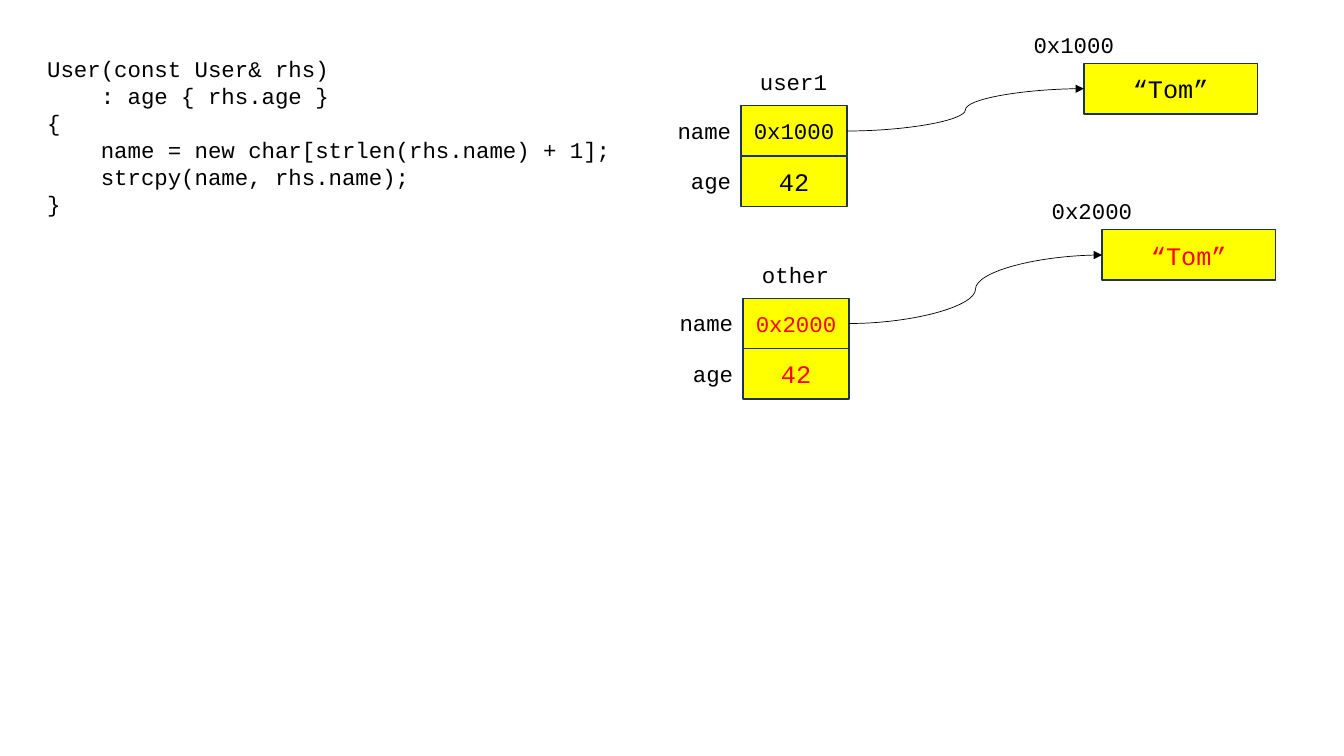
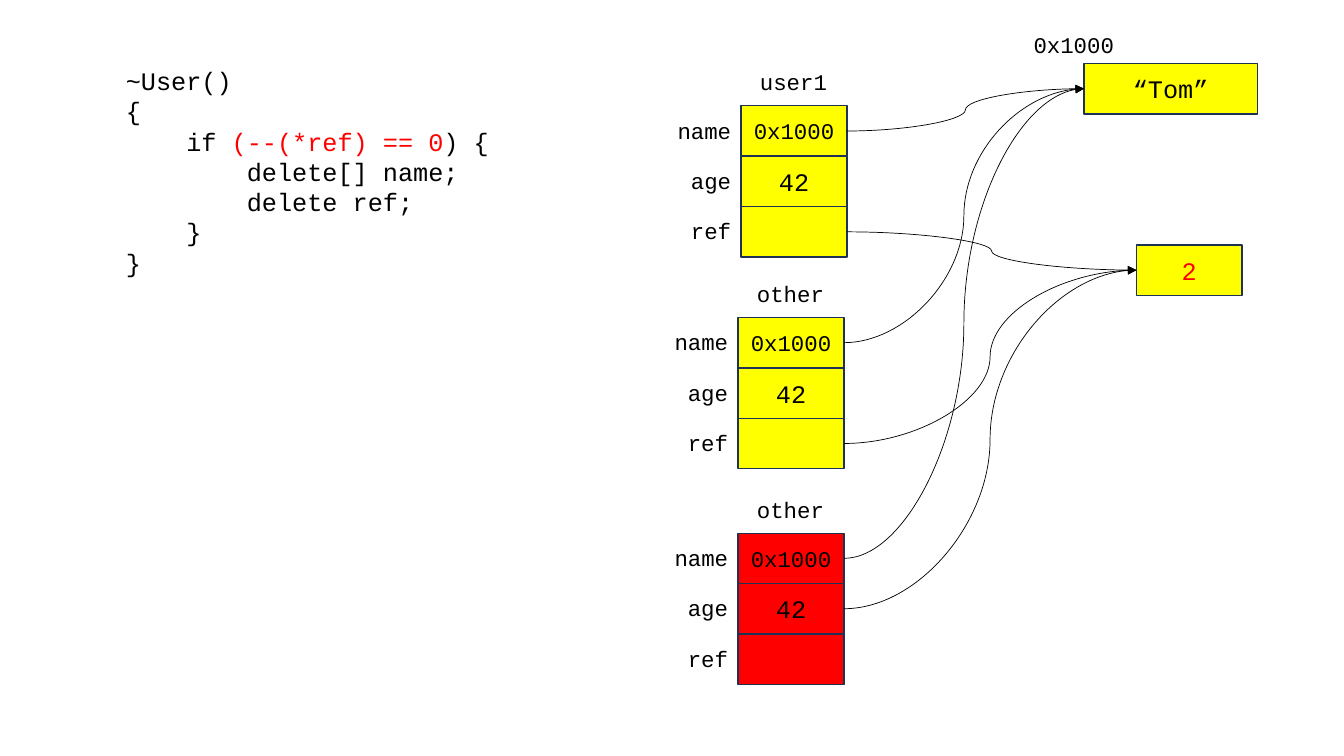
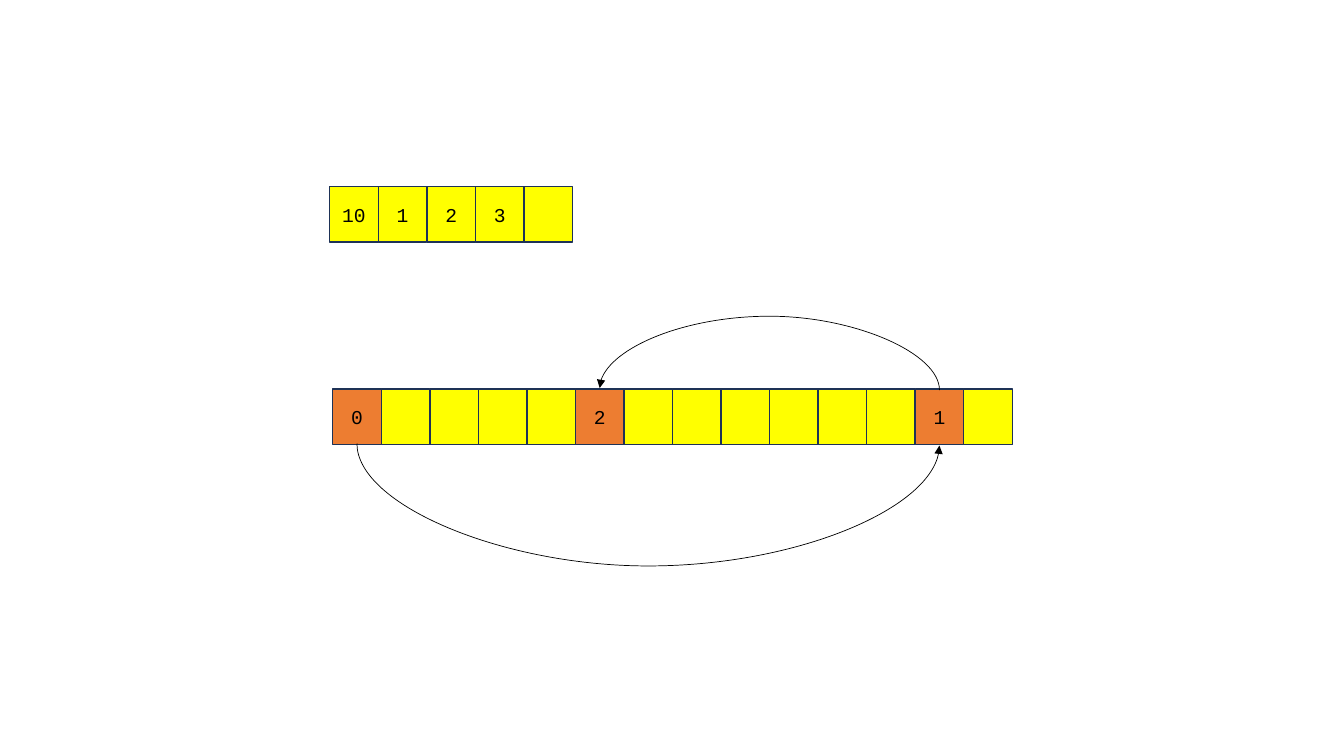
from pptx import Presentation
from pptx.dml.color import RGBColor as RGB
from pptx.enum.shapes import MSO_CONNECTOR as Conn, MSO_SHAPE as Kind
from pptx.enum.text import MSO_ANCHOR as Anchor, MSO_AUTO_SIZE as Fit, PP_ALIGN as Align
from pptx.oxml.ns import qn
from pptx.util import Inches, Pt
from lxml.etree import SubElement as Sub

# Shared look
FONT = "Courier New"
HUES = {"black": "000000", "red": "FF0000", "yellow": "FFFF00",
        "orange": "ED7D31", "navy": "1E3256"}
CELL_W, CELL_H = 1.05, 0.5
TAG_W, TAG_H = 1.04, 0.37


def hue(name):
    return RGB.from_string(HUES[name])


def style(font, size, color="black"):
    font.name, font.size = FONT, Pt(size)
    font.color.rgb = hue(color)


# Text
def label(slide, x, y, text, align=Align.CENTER):
    box = slide.shapes.add_textbox(Inches(x), Inches(y), Inches(TAG_W), Inches(TAG_H))
    frame = box.text_frame
    frame.word_wrap, frame.auto_size = True, Fit.SHAPE_TO_FIT_TEXT
    frame.text = text
    para = frame.paragraphs[0]
    para.alignment = align
    style(para.runs[0].font, 16)


def code(slide, x, y, w, h, size, lines):
    """Each line is a tuple of parts; every second part is red."""
    box = slide.shapes.add_textbox(Inches(x), Inches(y), Inches(w), Inches(h))
    frame = box.text_frame
    frame.word_wrap, frame.auto_size = True, Fit.SHAPE_TO_FIT_TEXT
    for row, parts in enumerate(lines):
        para = frame.add_paragraph() if row else frame.paragraphs[0]
        for pos, part in enumerate(parts):
            run = para.add_run()
            run.text = part
            style(run.font, size, "red" if pos % 2 else "black")


# Memory cells
def cell(slide, x, y, text="", w=CELL_W, h=CELL_H, size=18, fill="yellow", color="black"):
    box = slide.shapes.add_shape(Kind.RECTANGLE, Inches(x), Inches(y), Inches(w), Inches(h))
    box.shadow.inherit = False
    box.fill.solid()
    box.fill.fore_color.rgb = hue(fill)
    box.line.color.rgb = hue("navy")
    box.line.width = Pt(1)
    if text:
        frame = box.text_frame
        frame.text = text
        frame.vertical_anchor = Anchor.MIDDLE
        para = frame.paragraphs[0]
        para.alignment = Align.CENTER
        style(para.runs[0].font, size, color)
    return box


def user(slide, x, y, title, fields, fill="yellow", color="black"):
    label(slide, x, y - 0.42, title)
    boxes = []
    for row, (name, text) in enumerate(fields):
        top = y + row * CELL_H
        size = 16 if name == "name" else 18
        boxes.append(cell(slide, x, top, text, size=size, fill=fill, color=color))
        label(slide, x - TAG_W, top + 0.06, name, Align.RIGHT)
    return boxes


def heap(slide, x, y, addr, color="black"):
    label(slide, x - 0.62, y - TAG_H, addr)
    return cell(slide, x, y, "“Tom”", w=1.72, color=color)


def array(slide, x, y, width, values, hot=()):
    step = width / len(values)
    return [cell(slide, x + i * step, y, text, w=step, h=0.55, size=14,
                 fill="orange" if i in hot else "yellow")
            for i, text in enumerate(values)]


# Arrows
def curve(slide, x1, y1, x2, y2):
    line = slide.shapes.add_connector(Conn.CURVE, x1, y1, x2, y2)
    line.line.color.rgb = hue("black")
    line.line.width = Pt(0.5)
    Sub(line.line._get_or_add_ln(), qn("a:tailEnd"), type="triangle")
    Sub(line.element.spPr, qn("a:effectLst"))
    return line


def point(slide, start, end):
    line = curve(slide, 0, 0, 0, 0)
    line.begin_connect(start, 3)
    line.end_connect(end, 1)


def arc(slide, start, end, depth, below):
    """Bow from one cell to another: a thin curve, a quarter turn round."""
    mid = (start.left + end.left + start.width) // 2
    edge = start.top + (start.height if below else 0)
    sign = 1 if below else -1
    thin = Inches(0.02)
    dx, dy = sign * thin // 2, sign * abs(end.left - start.left) // 2
    line = curve(slide, mid + dx, edge - dy, mid - dx, edge + dy)
    props = line.element.spPr
    props.find(qn("a:xfrm")).set("rot", str(270 * 60000))
    bend = round(Inches(depth) / thin * 100000)
    Sub(props.find(qn("a:prstGeom")).find(qn("a:avLst")), qn("a:gd"),
        name="adj1", fmla=f"val {bend}")


# Slides
def deep(slide):
    first = user(slide, 7.35, 1.05, "user1", [("name", "0x1000"), ("age", "42")])
    point(slide, first[0], heap(slide, 10.75, 0.63, "0x1000"))
    other = user(slide, 7.37, 2.96, "other", [("name", "0x2000"), ("age", "42")], color="red")
    point(slide, other[0], heap(slide, 10.93, 2.28, "0x2000", "red"))
    code(slide, 0.37, 0.5, 6.14, 1.78, 16, [
        ("User(const User& rhs)",),
        ("    : age { rhs.age }",),
        ("{",),
        ("    name = new char[strlen(rhs.name) + 1];",),
        ("    strcpy(name, rhs.name);",),
        ("}",)])


def shared(slide):
    text = heap(slide, 10.75, 0.63, "0x1000")
    count = cell(slide, 11.27, 2.43, "2", color="red")
    fields = [("name", "0x1000"), ("age", "42"), ("ref", "")]
    for x, y, title, fill, ref in [(7.35, 1.05, "user1", "yellow", 2),
                                   (7.32, 3.15, "other", "yellow", 2),
                                   (7.32, 5.29, "other", "red", 1)]:
        boxes = user(slide, x, y, title, fields, fill)
        point(slide, boxes[0], text)
        point(slide, boxes[ref], count)
    code(slide, 1.15, 0.6, 4, 2.22, 18, [
        ("~User()",),
        ("{",),
        ("    if ", "(--(*ref) == 0", ") {"),
        ("        delete[] name;",),
        ("        delete ref;",),
        ("    }",),
        ("}",)])


def arrays(slide):
    array(slide, 3.27, 1.85, 2.41, ["10", "1", "2", "3", ""])
    order = {0: "0", 5: "2", 12: "1"}
    boxes = array(slide, 3.3, 3.86, 6.74, [order.get(i, "") for i in range(14)], order)
    arc(slide, boxes[0], boxes[12], 1.21, True)
    arc(slide, boxes[12], boxes[5], 0.73, False)


def main():
    deck = Presentation()
    deck.slide_width, deck.slide_height = Inches(13.33), Inches(7.5)
    for draw in (deep, shared, arrays):
        draw(deck.slides.add_slide(deck.slide_layouts[6]))
    deck.save("out.pptx")


if __name__ == "__main__":
    main()
